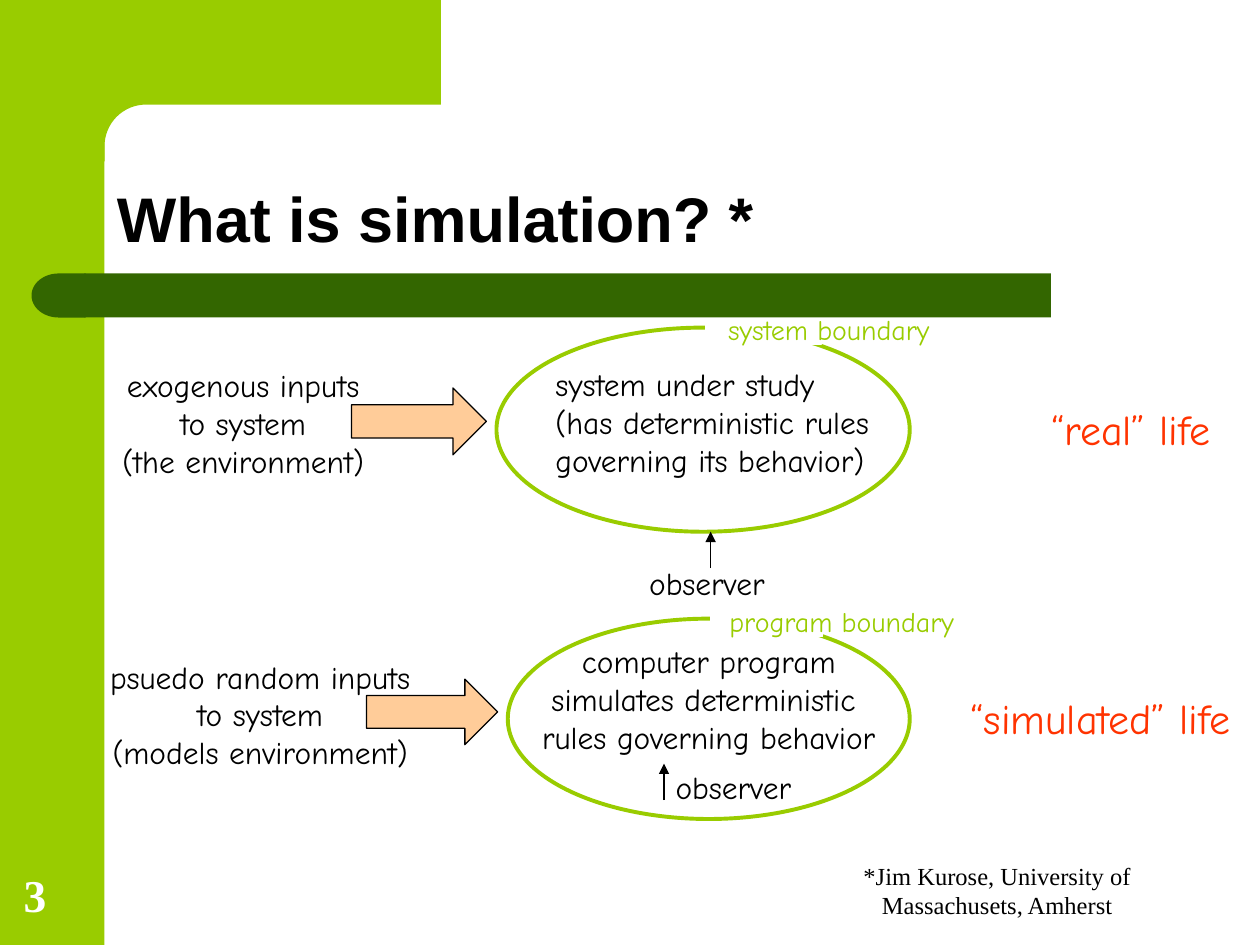
import math

import pptx
import pptx.dml.color
import pptx.enum.shapes
import pptx.enum.text
import pptx.oxml
import pptx.oxml.ns
import pptx.util

Inches = pptx.util.Inches
Pt = pptx.util.Pt
SHAPE = pptx.enum.shapes.MSO_SHAPE
ALIGN = pptx.enum.text.PP_ALIGN
ANCHOR = pptx.enum.text.MSO_ANCHOR
AUTO_SIZE = pptx.enum.text.MSO_AUTO_SIZE

COLORS = {
    "lime": "99CC00",
    "green": "336600",
    "peach": "FFCC99",
    "red": "FF3300",
    "black": "000000",
    "white": "FFFFFF",
}


def rgb(name):
    return pptx.dml.color.RGBColor.from_string(COLORS[name])


def write_text(frame, text, font="Comic Neue", size=18, color="black", bold=False,
               align=ALIGN.LEFT, spacing=None):
    """Fill a text frame, one paragraph for each line of text."""
    for index, line in enumerate(text.split("\n")):
        paragraph = frame.paragraphs[0] if index == 0 else frame.add_paragraph()
        paragraph.alignment = align
        paragraph.line_spacing = spacing
        run = paragraph.add_run()
        run.text = line
        run.font.name = font
        run.font.size = Pt(size)
        run.font.bold = bold
        run.font.color.rgb = rgb(color)


class SlideBuilder:
    """Holds the slide and draws each kind of element in the deck's style."""

    def __init__(self, slide):
        self.slide = slide
        self.shapes = slide.shapes

    def paint(self, shape, fill, line=None, width=0.75):
        shape.shadow.inherit = False
        shape.fill.solid()
        shape.fill.fore_color.rgb = rgb(fill)
        if line:
            shape.line.color.rgb = rgb(line)
            shape.line.width = Pt(width)
        else:
            shape.line.fill.background()

    def shape(self, kind, box, fill, line=None, width=0.75):
        shape = self.shapes.add_shape(kind, *map(Inches, box))
        self.paint(shape, fill, line, width)
        return shape

    def outline(self, points, fill):
        start, *rest = [(Inches(x), Inches(y)) for x, y in points]
        builder = self.shapes.build_freeform(*start)
        builder.add_line_segments(rest, close=True)
        self.paint(builder.convert_to_shape(), fill)

    def label(self, text, box, **style):
        """Text that keeps its own line breaks, in a box that fits it."""
        frame = self.shapes.add_textbox(*map(Inches, box)).text_frame
        frame.word_wrap = False
        frame.auto_size = AUTO_SIZE.SHAPE_TO_FIT_TEXT
        write_text(frame, text, **style)

    def bottom_text(self, text, box, **style):
        """Wrapped text that sits at the bottom of a fixed box."""
        frame = self.shapes.add_textbox(*map(Inches, box)).text_frame
        frame.word_wrap = True
        frame.vertical_anchor = ANCHOR.BOTTOM
        write_text(frame, text, **style)

    def up_arrow(self, x, bottom, length=0.29):
        arrow = self.shapes.add_connector(
            pptx.enum.shapes.MSO_CONNECTOR.STRAIGHT,
            Inches(x), Inches(bottom), Inches(x), Inches(bottom - length))
        arrow.line.color.rgb = rgb("black")
        arrow.line.width = Pt(0.75)
        namespace = pptx.oxml.ns.nsdecls("a")
        arrow.line._get_or_add_ln().append(
            pptx.oxml.parse_xml(f'<a:tailEnd {namespace} type="triangle"/>'))
        arrow._element.spPr.append(pptx.oxml.parse_xml(f"<a:effectLst {namespace}/>"))

    def frame(self):
        """Side band, top band with its rounded inner corner, and title bar."""
        self.shape(SHAPE.RECTANGLE, (0, 0, 0.83, 7.5), "lime")
        center, radius, steps = 1.16, 0.33, 16
        angles = [math.pi / 2 * step / steps for step in range(steps + 1)]
        corner = [(center - radius * math.sin(a), center - radius * math.cos(a))
                  for a in angles]
        self.outline([(0.5, 0), (3.5, 0), (3.5, 0.83), *corner, (0.83, 1.28), (0.5, 1.28)],
                     "lime")
        self.shape(SHAPE.RECTANGLE, (0.67, 2.17, 7.67, 0.35), "green")
        self.shape(SHAPE.FLOWCHART_DELAY, (0.25, 2.17, 0.43, 0.35), "green").rotation = 180

    def scenario(self, ellipse, rules, inputs, arrow, gap, boundary, observer, pointer, life):
        """Inputs feeding a bounded system, its observer and the kind of life."""
        self.shape(SHAPE.OVAL, ellipse, "white", "lime", 2.25)
        rules_text, rules_box, rules_align = rules
        self.label(rules_text, rules_box, align=rules_align)
        self.shape(SHAPE.RIGHT_ARROW, arrow, "peach", "black")
        self.label(*inputs, align=ALIGN.CENTER)
        self.shape(SHAPE.RECTANGLE, gap, "white", "white")
        self.label(*boundary, size=16, color="lime")
        self.up_arrow(*pointer)
        self.label("observer", observer, align=ALIGN.CENTER)
        self.label(*life, size=24, color="red", align=ALIGN.CENTER)


def main():
    deck = pptx.Presentation()
    deck.slide_width, deck.slide_height = Inches(10), Inches(7.5)
    builder = SlideBuilder(deck.slides.add_slide(deck.slide_layouts[6]))

    builder.frame()
    builder.bottom_text("What is simulation? *", (0.83, 0.83, 8.67, 1.25),
                        font="Arial", size=36, bold=True, spacing=0.9)
    builder.scenario(
        ellipse=(3.94, 2.6, 3.28, 1.62),
        rules=("system under study\n(has deterministic rules\ngoverning its behavior)",
               (4.31, 2.85, 2.78, 1), ALIGN.LEFT),
        inputs=("exogenous inputs\nto system\n(the environment)", (0.87, 2.86, 2.12, 1)),
        arrow=(2.79, 3.08, 1.07, 0.53),
        gap=(5.6, 2.54, 0.92, 0.19),
        boundary=("system boundary", (5.68, 2.43, 1.8, 0.37)),
        observer=(5.05, 4.43, 1.12, 0.4),
        pointer=(5.64, 4.51),
        life=("“real” life", (8.24, 3.15, 1.47, 0.5)))
    builder.scenario(
        ellipse=(4.03, 4.91, 3.19, 1.59),
        rules=("computer program\nsimulates deterministic \nrules governing behavior",
               (4.2, 5.05, 2.85, 1), ALIGN.CENTER),
        inputs=("psuedo random inputs\nto system\n(models environment)", (0.77, 5.17, 2.59, 1)),
        arrow=(2.91, 5.39, 1.04, 0.52),
        gap=(5.64, 4.86, 0.89, 0.19),
        boundary=("program boundary", (5.69, 4.75, 1.99, 0.37)),
        observer=(5.26, 6.05, 1.12, 0.4),
        pointer=(5.27, 6.35),
        life=("“simulated” life", (7.6, 5.45, 2.27, 0.5)))
    builder.bottom_text("*Jim Kurose, University of Massachusets, Amherst",
                        (6.33, 6.83, 3.17, 0.52),
                        font="Times New Roman", size=14, align=ALIGN.CENTER)
    builder.bottom_text("3", (0.09, 6.83, 0.64, 0.53), font="Times New Roman",
                        size=26, color="white", bold=True)
    deck.save("out.pptx")


if __name__ == "__main__":
    main()
